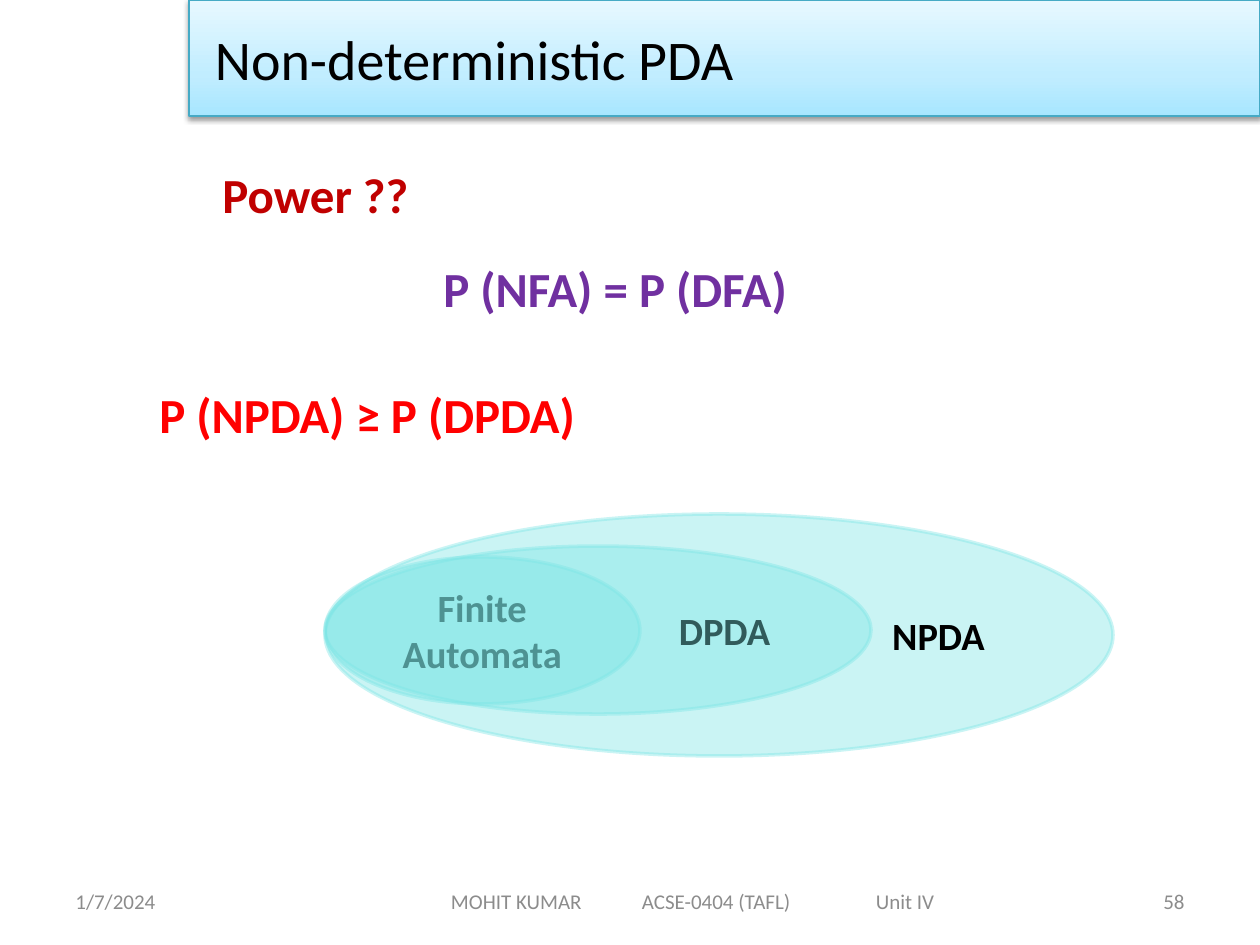
from lxml import etree
from pptx import Presentation
from pptx.dml.color import RGBColor
from pptx.enum.shapes import MSO_SHAPE
from pptx.enum.text import MSO_ANCHOR, PP_ALIGN
from pptx.oxml import parse_xml
from pptx.oxml.ns import nsdecls, qn
from pptx.util import Emu, Pt

RECT, OVAL = MSO_SHAPE.RECTANGLE, MSO_SHAPE.OVAL
TOP, MID = MSO_ANCHOR.TOP, MSO_ANCHOR.MIDDLE
LEFT, CENTER, RIGHT = PP_ALIGN.LEFT, PP_ALIGN.CENTER, PP_ALIGN.RIGHT
PX = 914400 / 126

THEME = {
    "font": "Calibri",
    "title": 32, "claim": 28, "label": 22, "foot": 12,
    "ink": "000000", "gray": "8C8C8C", "teal": "7BE5E5", "edge": "46AAC5",
    "dark red": "C00000", "purple": "7030A0", "red": "FF0000",
    "band": [(0, "A7E6FF"), (35, "C1EDFF"), (100, "E7F8FF")],
}


def px(*vals):
    return [Emu(round(v * PX)) for v in vals]


def write(shape, text, size, color, bold=False, align=LEFT, anchor=MID):
    frame = shape.text_frame
    frame.word_wrap = True
    frame.vertical_anchor = anchor
    para = frame.paragraphs[0]
    para.alignment = align
    run = para.add_run()
    run.text = text
    run.font.name = THEME["font"]
    run.font.size = Pt(THEME[size])
    run.font.bold = bold
    run.font.color.rgb = RGBColor.from_string(THEME[color])
    return frame


deck = Presentation()
deck.slide_width, deck.slide_height = px(1260, 945)
slide = deck.slides.add_slide(deck.slide_layouts[6])
shapes = slide.shapes

# Date and page number
for left, text, align in [(63, "1/7/2024", LEFT), (903, "58", RIGHT)]:
    box = shapes.add_textbox(*px(left, 876, 294, 50))
    write(box, text, "foot", "gray", align=align)

# Title band with gradient and soft shadow
band = shapes.add_shape(RECT, *px(189, 0, 1071, 116))
band.line.color.rgb = RGBColor.from_string(THEME["edge"])
band.line.width = Pt(0.75)
band.shadow.inherit = False
stops = "".join(
    f'<a:gs pos="{pos * 1000}"><a:srgbClr val="{color}"/></a:gs>'
    for pos, color in THEME["band"])
props = band.element.spPr
props.find(qn("a:prstGeom")).addnext(parse_xml(
    f'<a:gradFill {nsdecls("a")} rotWithShape="1"><a:gsLst>{stops}</a:gsLst>'
    '<a:lin ang="16200000" scaled="0"/></a:gradFill>'))
props.find(qn("a:effectLst")).append(parse_xml(
    f'<a:outerShdw {nsdecls("a")} blurRad="{Pt(3.1)}" dist="{Pt(1.6)}" '
    'dir="5400000" rotWithShape="0"><a:srgbClr val="000000">'
    '<a:alpha val="38000"/></a:srgbClr></a:outerShdw>'))
frame = write(band, "Non-deterministic PDA", "title", "ink")
frame.margin_left, = px(26)

# Claims about power
claims = [
    (210, 158, 325, "Power ??", "dark red"),
    (431, 252, 472, "P (NFA) = P (DFA)", "purple"),
    (147, 378, 567, "P (NPDA) ≥ P (DPDA)", "red"),
]
for left, top, width, text, color in claims:
    box = shapes.add_textbox(*px(left, top, width, 72))
    write(box, text, "claim", color, True, anchor=TOP)

# Nested language classes, sharing their left edge
classes = [
    (557, 315, 147, "Finite Automata", CENTER, 13),
    (546, 546, 168, "DPDA", RIGHT, 21),
    (514, 788, 242, "NPDA", RIGHT, 13),
]
for top, width, height, text, align, inset in classes:
    oval = shapes.add_shape(OVAL, *px(325, top, width, height))
    oval.shadow.inherit = False
    oval.fill.solid()
    oval.line.width = Pt(2)
    for part in (oval.fill.fore_color, oval.line.color):
        part.rgb = RGBColor.from_string(THEME["teal"])
    for color in oval.element.spPr.iter(qn("a:srgbClr")):
        etree.SubElement(color, qn("a:alpha")).set("val", "40000")
    frame = write(oval, text, "label", "ink", True, align)
    frame.margin_right, = px(inset)

# Footer: author, course and unit on tab stops
foot = shapes.add_textbox(*px(346, 876, 693, 50))
frame = write(foot, "MOHIT KUMAR\tACSE-0404 (TAFL)\tUnit IV", "foot", "gray")
frame.margin_left, = px(105)
tabs = etree.SubElement(frame.paragraphs[0]._p.get_or_add_pPr(), qn("a:tabLst"))
for stop in px(191, 425):
    tab = etree.SubElement(tabs, qn("a:tab"))
    tab.set("pos", str(stop))
    tab.set("algn", "l")

deck.save("out.pptx")
